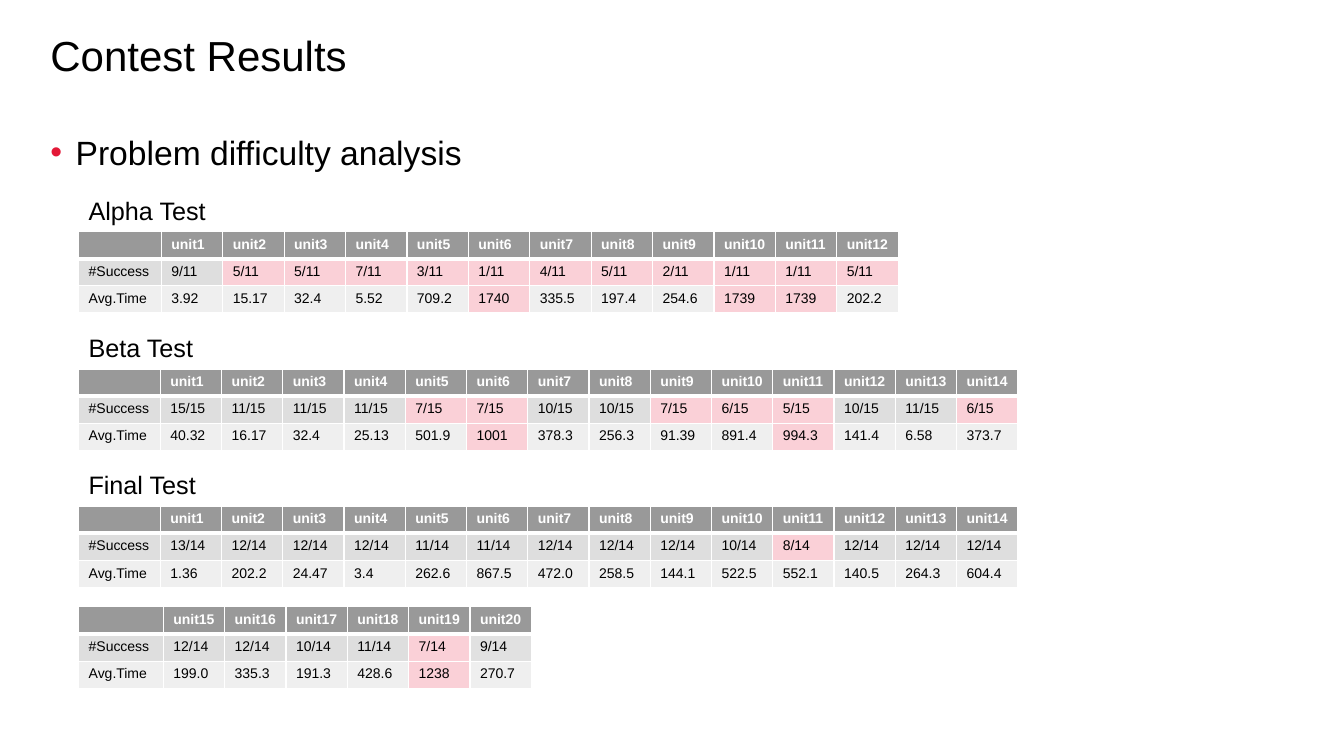
import pptx
import pptx.dml.color
import pptx.enum.text
import pptx.oxml
import pptx.oxml.ns
import pptx.util
import lxml.etree

Inches = pptx.util.Inches
Pt = pptx.util.Pt

BLACK, WHITE, RED = "000000", "FFFFFF", "E31837"
HEADER, SUCCESS, TIME = "999999", "DEDEDE", "EFEFEF"
PINK, PALE = "FAD0D7", "E1E1E1"
LEFT = 0.78
PASS_RATE = 0.64
SLOW_TIME = 900


def color(hex_string):
    return pptx.dml.color.RGBColor.from_string(hex_string)


def add_element(parent, tag, **attributes):
    element = lxml.etree.SubElement(parent, pptx.oxml.ns.qn(tag))
    for name, value in attributes.items():
        element.set(name, str(value))
    return element


def is_hard(success):
    solved, entrants = success.split("/")
    return int(solved) / int(entrants) < PASS_RATE


class ResultsSlide:
    """Holds the text style and the slide being filled."""

    font = "Arial"

    def __init__(self, presentation):
        self.slide = presentation.slides.add_slide(presentation.slide_layouts[1])

    def add_run(self, paragraph, text, size, hex_string=BLACK, bold=False):
        run = paragraph.add_run()
        run.text = text
        run.font.name = self.font
        run.font.size = Pt(size)
        run.font.bold = bold
        run.font.color.rgb = color(hex_string)

    def fill_placeholder(self, index, text, size, top, height):
        shape = self.slide.placeholders[index]
        shape.left, shape.top = Inches(0.4), Inches(top)
        shape.width, shape.height = Inches(12.53), Inches(height)
        frame = shape.text_frame
        frame.auto_size = pptx.enum.text.MSO_AUTO_SIZE.NONE
        frame.vertical_anchor = pptx.enum.text.MSO_ANCHOR.TOP
        paragraph = frame.paragraphs[0]
        paragraph.alignment = pptx.enum.text.PP_ALIGN.LEFT
        paragraph.line_spacing = 0.9
        self.add_run(paragraph, text, size)
        return paragraph

    def add_title(self, text):
        self.fill_placeholder(0, text, 30, 0.3, 1)

    def add_bullet(self, text):
        paragraph = self.fill_placeholder(1, text, 24, 1.3, 5.6)
        paragraph.space_before = Pt(10)
        properties = paragraph._p.get_or_add_pPr()
        properties.set("marL", str(Inches(0.25)))
        properties.set("indent", str(-Inches(0.25)))
        add_element(add_element(properties, "a:buClr"), "a:srgbClr", val=RED)
        add_element(properties, "a:buFont", typeface=self.font)
        add_element(properties, "a:buChar", char="•")

    def add_caption(self, text, top):
        box = self.slide.shapes.add_textbox(
            Inches(LEFT), Inches(top), Inches(1.5), Inches(0.4))
        box.text_frame.word_wrap = True
        box.text_frame.auto_size = pptx.enum.text.MSO_AUTO_SIZE.SHAPE_TO_FIT_TEXT
        self.add_run(box.text_frame.paragraphs[0], text, 18)

    def set_borders(self, cell, row):
        """Thin white borders, with a thick one under the header row."""
        widths = {"L": 1, "R": 1, "T": 3 if row == 1 else 1, "B": 3 if row == 0 else 1}
        properties = cell._tc.get_or_add_tcPr()
        for position, (side, width) in enumerate(widths.items()):
            line = add_element(properties, "a:ln" + side, w=Pt(width))
            add_element(add_element(line, "a:solidFill"), "a:srgbClr", val=WHITE)
            properties.insert(position, line)

    def add_cell(self, cell, row, text, fill):
        cell.fill.solid()
        cell.fill.fore_color.rgb = color(fill)
        self.set_borders(cell, row)
        paragraph = cell.text_frame.paragraphs[0]
        if text:
            self.add_run(paragraph, text, 10, WHITE if row == 0 else BLACK, row == 0)
        else:
            add_element(paragraph._p, "a:endParaRPr", sz=1000)

    def add_results(self, top, width, label_width, row_height, first_unit,
                    successes, times, special_fills=None):
        successes, times = successes.split(), times.split()
        count = len(successes)
        units = [f"unit{first_unit + number}" for number in range(count)]
        rows = [
            ([""] + units, [HEADER] * (count + 1)),
            (["#Success"] + successes,
             [SUCCESS] + [PINK if is_hard(value) else SUCCESS for value in successes]),
            (["Avg.Time"] + times,
             [TIME] + [PINK if float(value) > SLOW_TIME else TIME for value in times]),
        ]
        table = self.slide.shapes.add_table(
            len(rows), count + 1, Inches(LEFT), Inches(top),
            Inches(width), Inches(row_height * len(rows))).table
        for index, column in enumerate(table.columns):
            column.width = Inches((width - label_width) / count if index else label_width)
        for row, (texts, fills) in enumerate(rows):
            table.rows[row].height = Inches(row_height)
            for column, (text, fill) in enumerate(zip(texts, fills)):
                fill = (special_fills or {}).get((row, column), fill)
                self.add_cell(table.cell(row, column), row, text, fill)


def main():
    presentation = pptx.Presentation()
    presentation.slide_width = Inches(13.33)
    presentation.slide_height = Inches(7.5)

    results = ResultsSlide(presentation)
    results.add_title("Contest Results")
    results.add_bullet("Problem difficulty analysis")

    for number, name in enumerate(("Alpha", "Beta", "Final")):
        results.add_caption(f"{name} Test", 1.89 + 1.36 * number)

    results.add_results(
        2.3, 8.13, 0.82, 0.26, 1,
        "9/11 5/11 5/11 7/11 3/11 1/11 4/11 5/11 2/11 1/11 1/11 5/11",
        "3.92 15.17 32.4 5.52 709.2 1740 335.5 197.4 254.6 1739 1739 202.2")
    results.add_results(
        3.66, 9.32, 0.81, 0.27, 1,
        "15/15 11/15 11/15 11/15 7/15 7/15 10/15 10/15 7/15 6/15 5/15 10/15 11/15 6/15",
        "40.32 16.17 32.4 25.13 501.9 1001 378.3 256.3 91.39 891.4 994.3 141.4 6.58 373.7")
    results.add_results(
        5.02, 9.32, 0.81, 0.27, 1,
        "13/14 12/14 12/14 12/14 11/14 11/14 12/14 12/14 12/14 10/14 8/14 12/14 12/14 12/14",
        "1.36 202.2 24.47 3.4 262.6 867.5 472.0 258.5 144.1 522.5 552.1 140.5 264.3 604.4")
    results.add_results(
        6.02, 4.49, 0.84, 0.27, 15,
        "12/14 12/14 10/14 11/14 7/14 9/14",
        "199.0 335.3 191.3 428.6 1238 270.7",
        special_fills={(1, 6): PALE})

    presentation.save("out.pptx")


if __name__ == "__main__":
    main()
